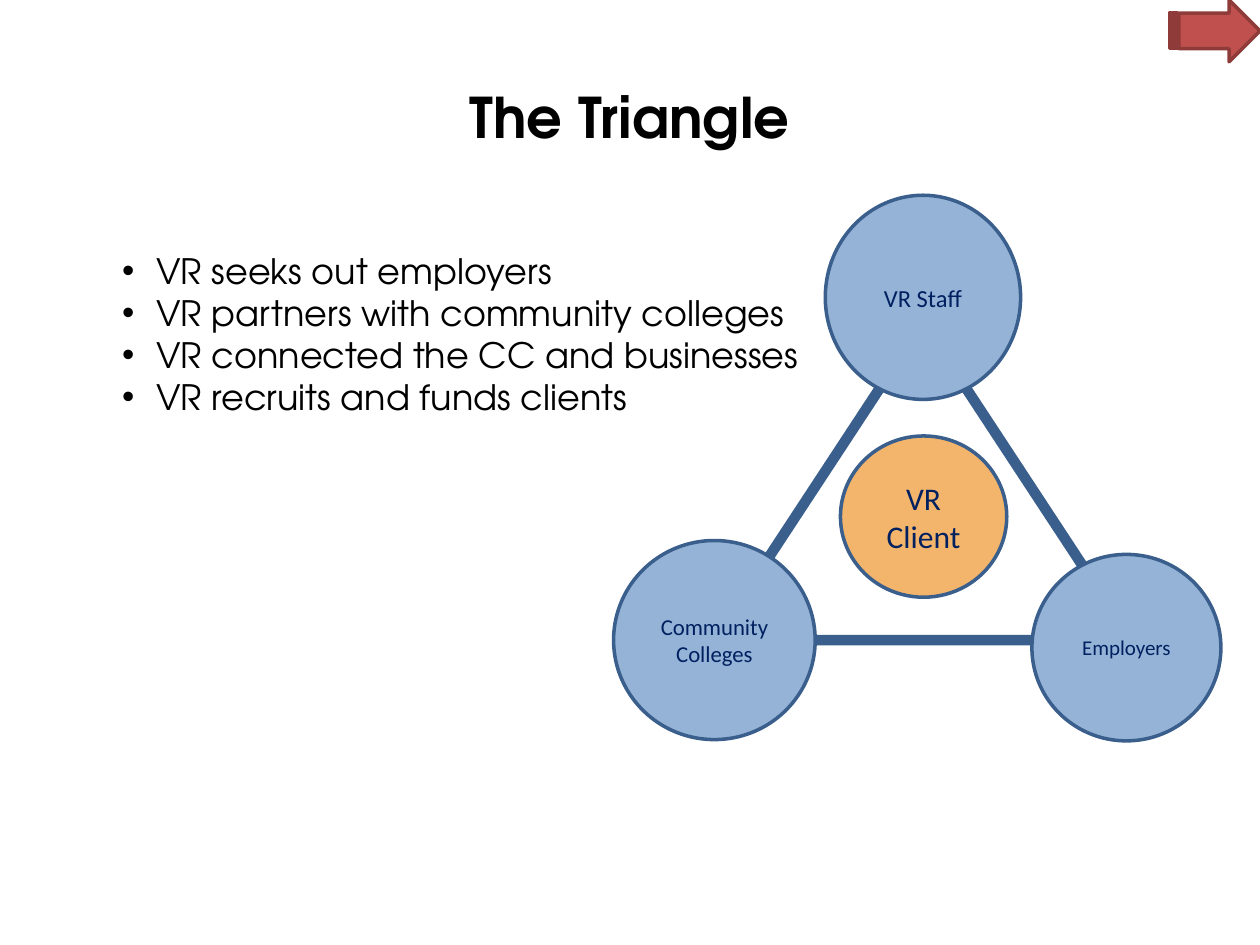
"""Build a slide showing the triangle of staff, colleges and employers around a client."""

from dataclasses import dataclass

from lxml import etree
from pptx import Presentation
from pptx.dml.color import RGBColor
from pptx.enum.shapes import MSO_SHAPE
from pptx.enum.text import MSO_ANCHOR, MSO_AUTO_SIZE, PP_ALIGN
from pptx.oxml.ns import qn
from pptx.shapes.autoshape import Shape
from pptx.shapes.shapetree import GroupShapes, SlideShapes
from pptx.text.text import TextFrame
from pptx.util import Inches, Pt

CENTER, LEFT = PP_ALIGN.CENTER, PP_ALIGN.LEFT
MIDDLE, TOP = MSO_ANCHOR.MIDDLE, MSO_ANCHOR.TOP
ELLIPSE, TRIANGLE = MSO_SHAPE.OVAL, MSO_SHAPE.ISOSCELES_TRIANGLE
ARROW = MSO_SHAPE.STRIPED_RIGHT_ARROW
NO_AUTOFIT = MSO_AUTO_SIZE.NONE

COLUMNS, ROWS = 100, 75
CELL = Inches(0.1)
BULLET_INDENT = Inches(0.27)
HEADING_FONT, LABEL_FONT = "TeX Gyre Adventor", "Calibri"
COLORS = {
    "white": "FFFFFF",
    "black": "000000",
    "blue": "95B3D7",
    "dark blue": "3A5F8C",
    "navy": "002060",
    "orange": "F3B56C",
    "red": "C0504D",
    "dark red": "8E3B39",
}
FRAME_FORMAT = {
    "margin_left": Inches(0.47),
    "margin_right": Inches(0.47),
    "margin_top": Inches(0.23),
    "margin_bottom": Inches(0.23),
}
BULLETS = [
    "VR seeks out employers",
    "VR partners with community colleges",
    "VR connected the CC and businesses",
    "VR recruits and funds clients",
]


@dataclass(frozen=True)
class Box:
    """A rectangle in columns and rows of the slide grid."""

    column: float
    row: float
    width: float
    height: float

    def lengths(self) -> dict[str, int]:
        """Return the position and size by attribute name."""
        return {
            "left": round(self.column * CELL),
            "top": round(self.row * CELL),
            "width": round(self.width * CELL),
            "height": round(self.height * CELL),
        }


@dataclass(frozen=True)
class Figure:
    """A filled and outlined preset shape with an optional label."""

    kind: MSO_SHAPE
    box: Box
    fill: str
    line: str = "dark blue"
    line_width: float = 2
    label: str = ""
    size: int = 0


TRIANGLE_FIGURES = [
    Figure(TRIANGLE, Box(56.7, 25.6, 33.1, 25.2), "white", line_width=6),
    Figure(ELLIPSE, Box(65.5, 15.5, 15.5, 16.2), "blue", label="VR Staff", size=14),
    Figure(ELLIPSE, Box(66.7, 34.6, 13.2, 12.8), "orange", label="VR Client", size=18),
    Figure(ELLIPSE, Box(48.7, 42.9, 16, 15.8), "blue", label="Community Colleges", size=13),
    Figure(ELLIPSE, Box(81.9, 44, 15, 14.8), "blue", label="Employers", size=12),
]
NEXT_ARROW = Figure(ARROW, Box(92.8, 0, 7.2, 4.9), "red", "dark red")


def color(name: str) -> RGBColor:
    """Look up a named colour."""
    return RGBColor.from_string(COLORS[name])


def apply_format(target: object, values: dict[str, object]) -> None:
    """Set each named attribute of the target."""
    for name, value in values.items():
        setattr(target, name, value)


def write_text(
    frame: TextFrame,
    lines: list[str],
    size: int,
    font_name: str,
    font_color: str,
    alignment: PP_ALIGN = CENTER,
    anchor: MSO_ANCHOR = MIDDLE,
    bold: bool = False,
) -> None:
    """Fill a text frame with one formatted paragraph per line."""
    apply_format(frame, {"word_wrap": True, "auto_size": NO_AUTOFIT, "vertical_anchor": anchor})
    frame.text = "\n".join(lines)
    for paragraph in frame.paragraphs:
        paragraph.alignment = alignment
        font = paragraph.runs[0].font
        apply_format(font, {"size": Pt(size), "name": font_name, "bold": bold})
        font.color.rgb = color(font_color)


def add_bullets(frame: TextFrame) -> None:
    """Give every paragraph a hanging round bullet."""
    for paragraph in frame.paragraphs:
        properties = paragraph._p.get_or_add_pPr()
        properties.set("marL", str(BULLET_INDENT))
        properties.set("indent", str(-BULLET_INDENT))
        etree.SubElement(properties, qn("a:buFont"), typeface="Arial")
        etree.SubElement(properties, qn("a:buChar"), char="•")


def add_figure(shapes: SlideShapes | GroupShapes, figure: Figure) -> Shape:
    """Draw one figure with its label."""
    shape = shapes.add_shape(figure.kind, **figure.box.lengths())
    shape.shadow.inherit = False
    shape.fill.solid()
    shape.fill.fore_color.rgb = color(figure.fill)
    shape.line.color.rgb = color(figure.line)
    shape.line.width = Pt(figure.line_width)
    if figure.label:
        write_text(shape.text_frame, [figure.label], figure.size, LABEL_FONT, "navy")
    return shape


def main() -> None:
    """Build and save the presentation."""
    presentation = Presentation()
    apply_format(presentation, {"slide_width": COLUMNS * CELL, "slide_height": ROWS * CELL})
    slide = presentation.slides.add_slide(presentation.slide_layouts[5])

    title = slide.shapes.title
    apply_format(title, Box(5, 3, 90, 12.5).lengths())
    apply_format(title.text_frame, FRAME_FORMAT)
    write_text(title.text_frame, ["The Triangle"], 32, HEADING_FONT, "black", bold=True)

    body = slide.shapes.add_textbox(**Box(5, 17.5, 90, 49.5).lengths())
    apply_format(body.text_frame, FRAME_FORMAT)
    write_text(body.text_frame, BULLETS, 20, HEADING_FONT, "black", LEFT, TOP)
    add_bullets(body.text_frame)

    group = slide.shapes.add_group_shape()
    for figure in TRIANGLE_FIGURES:
        add_figure(group.shapes, figure)

    arrow = add_figure(slide.shapes, NEXT_ARROW)
    arrow.adjustments[0] = 0.577
    presentation.save("out.pptx")


if __name__ == "__main__":
    main()
